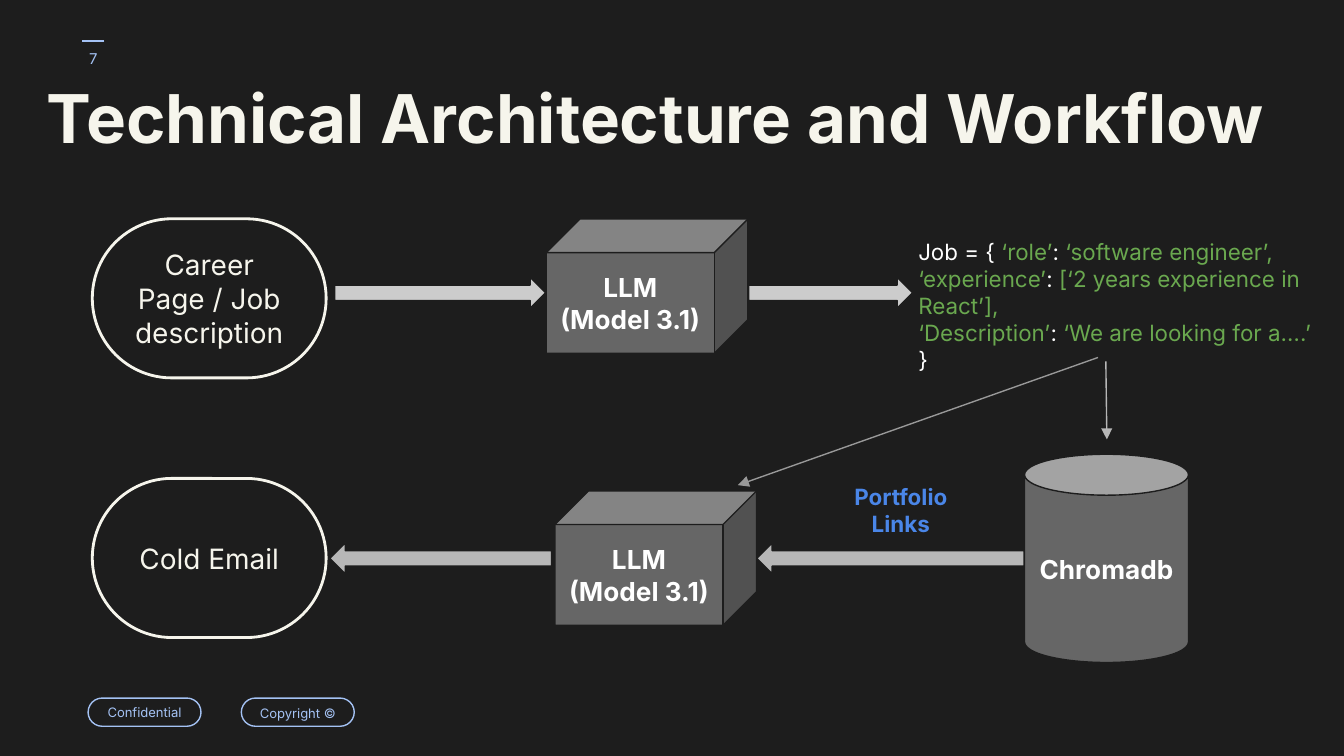
from dataclasses import dataclass

from lxml import etree
from pptx import Presentation
from pptx import util as u
from pptx.dml.color import RGBColor
from pptx.enum import shapes, text
from pptx.oxml.ns import qn

CELL = 0.1  # inches per grid column and row
SLIDE_WIDTH = u.Inches(10)
SLIDE_HEIGHT = SLIDE_WIDTH * 9 // 16
FONT = "Inter"
DARK, CREAM, WHITE = "1D1D1D", "F6F5EC", "FFFFFF"
PALE_BLUE, BLUE, GREEN = "A4C2F4", "4A86E8", "6AA84F"
BODY_GREY, LIGHT_GREY, MID_GREY, LINE_GREY = "666666", "CCCCCC", "B7B7B7", "999999"

Shape = shapes.MSO_SHAPE
Align = text.PP_ALIGN
Anchor = text.MSO_ANCHOR


@dataclass
class Area:
    """A rectangle in grid columns and rows."""
    column: float
    row: float
    columns: float
    rows: float

    def lengths(self) -> list:
        return [grid(n) for n in (self.column, self.row, self.columns, self.rows)]


@dataclass
class Style:
    size: float
    color: str
    bold: bool = False
    spacing: float = 1.0


@dataclass
class Node:
    kind: Shape
    area: Area
    label: str
    style: Style
    fill: str | None = None
    line: str = DARK
    line_width: float = 0.75
    adjustment: float = 0.25


@dataclass
class BlockArrow:
    kind: Shape
    column: float
    row: float
    columns: float
    color: str


@dataclass
class Link:
    start: tuple[float, float]
    end: tuple[float, float]
    color: str
    arrow: bool = True


def grid(cells: float) -> u.Length:
    return u.Inches(cells * CELL)


def color(code: str) -> RGBColor:
    return RGBColor.from_string(code)


def format_span(span, style: Style) -> None:
    span.font.name = FONT
    span.font.size = u.Pt(style.size)
    span.font.bold = style.bold
    span.font.color.rgb = color(style.color)


def prepare_frame(frame, anchor: Anchor) -> None:
    frame.word_wrap = True
    frame.vertical_anchor = anchor
    frame.margin_left = frame.margin_right = u.Inches(0.1)
    frame.margin_top = frame.margin_bottom = u.Inches(0.1)


def write(frame, words: str, style: Style, align: Align, anchor: Anchor) -> None:
    prepare_frame(frame, anchor)
    frame.text = words
    para = frame.paragraphs[0]
    para.alignment = align
    para.line_spacing = style.spacing
    format_span(para.runs[0], style)


def add_label(page, area: Area, words: str, style: Style,
              align: Align = Align.CENTER, anchor: Anchor = Anchor.TOP) -> None:
    box = page.shapes.add_textbox(*area.lengths())
    write(box.text_frame, words, style, align, anchor)


def add_figure(page, kind: Shape, area: Area, fill: str | None, line: str, width: float):
    figure = page.shapes.add_shape(kind, *area.lengths())
    figure.shadow.inherit = False
    if fill:
        figure.fill.solid()
        figure.fill.fore_color.rgb = color(fill)
    else:
        figure.fill.background()
    figure.line.color.rgb = color(line)
    figure.line.width = u.Pt(width)
    return figure


def add_node(page, node: Node) -> None:
    figure = add_figure(page, node.kind, node.area, node.fill, node.line, node.line_width)
    figure.adjustments[0] = node.adjustment
    write(figure.text_frame, node.label, node.style, Align.CENTER, Anchor.MIDDLE)


def add_block_arrow(page, arrow: BlockArrow) -> None:
    area = Area(arrow.column, arrow.row, arrow.columns, 2.3)
    add_figure(page, arrow.kind, area, arrow.color, DARK, 0.75)


def add_link(page, link: Link) -> None:
    ends = [grid(n) for n in link.start + link.end]
    connector = page.shapes.add_connector(shapes.MSO_CONNECTOR.STRAIGHT, *ends)
    connector.line.color.rgb = color(link.color)
    connector.line.width = u.Pt(0.75)
    if link.arrow:
        outline = connector._element.spPr.find(qn("a:ln"))
        etree.SubElement(outline, qn("a:tailEnd"), type="triangle")
    etree.SubElement(connector._element.spPr, qn("a:effectLst"))


def add_code(page, area: Area, lines: list[list[tuple[str, str]]]) -> None:
    """Draw one paragraph per line, each a list of words with their colour."""
    frame = page.shapes.add_textbox(*area.lengths()).text_frame
    prepare_frame(frame, Anchor.TOP)
    for index, line in enumerate(lines):
        para = frame.add_paragraph() if index else frame.paragraphs[0]
        for words, code in line:
            span = para.add_run()
            span.text = words
            format_span(span, Style(12, code))


def pill(column: float, label: str, spacing: float = 1.0) -> Node:
    return Node(Shape.ROUNDED_RECTANGLE, Area(column, 51.94, 8.4, 2.1), label,
                Style(7, PALE_BLUE, spacing=spacing), line=PALE_BLUE, adjustment=0.5)


def terminal(row: float, label: str) -> Node:
    return Node(Shape.ROUNDED_RECTANGLE, Area(6.87, row, 17.4, 11.84), label,
                Style(15, CREAM), line=CREAM, line_width=1.5, adjustment=0.5)


def solid(kind: Shape, area: Area, label: str) -> Node:
    return Node(kind, area, label, Style(14, WHITE, bold=True), fill=BODY_GREY)


def model(column: float, row: float) -> Node:
    return solid(Shape.CUBE, Area(column, row, 15, 10), "LLM (Model 3.1)")


NODES = [
    pill(6.56, "Confidential"),
    pill(17.96, "Copyright ©", spacing=1.15),
    terminal(16.28, "Career Page / Job description"),
    terminal(35.6, "Cold Email"),
    model(40.65, 16.3),
    model(41.3, 36.53),
    solid(Shape.CAN, Area(76.23, 33.8, 12.2, 15.5), "Chromadb"),
]
BLOCK_ARROWS = [
    BlockArrow(Shape.RIGHT_ARROW, 24.9, 20.64, 15.7, LIGHT_GREY),
    BlockArrow(Shape.RIGHT_ARROW, 55.7, 20.64, 12.2, LIGHT_GREY),
    BlockArrow(Shape.LEFT_ARROW, 56.3, 40.4, 19.9, MID_GREY),
    BlockArrow(Shape.LEFT_ARROW, 24.54, 40.4, 16.5, MID_GREY),
]
LINKS = [
    Link((7.76, 3.06), (6.1, 3.06), PALE_BLUE, arrow=False),
    Link((82.28, 26.9), (82.36, 32.7), MID_GREY),
    Link((81.7, 26.6), (54.9, 36.1), LINE_GREY),
]
JOB_CODE = [
    [("Job = { ", WHITE), ("‘role’", GREEN), (": ", WHITE),
     ("‘software engineer’, ‘experience’", GREEN), (": ", WHITE),
     ("[‘2 years experience in React’],", GREEN)],
    [("‘Description’", GREEN), (":", WHITE), (" ‘We are looking for a….’", GREEN)],
    [("}", WHITE)],
]


def main() -> None:
    deck = Presentation()
    deck.slide_width, deck.slide_height = SLIDE_WIDTH, SLIDE_HEIGHT
    page = deck.slides.add_slide(deck.slide_layouts[6])
    page.background.fill.solid()
    page.background.fill.fore_color.rgb = color(DARK)

    add_label(page, Area(4.6, 2.2, 4.7, 4.3), "7", Style(8, PALE_BLUE), anchor=Anchor.MIDDLE)
    add_label(page, Area(2.5, 5.84, 99.4, 9.1), "Technical Architecture and Workflow",
              Style(36, CREAM, bold=True, spacing=0.8), align=Align.LEFT)
    for node in NODES:
        add_node(page, node)
    for arrow in BLOCK_ARROWS:
        add_block_arrow(page, arrow)
    for link in LINKS:
        add_link(page, link)
    add_code(page, Area(67.34, 16.74, 32.2, 9.1), JOB_CODE)
    add_label(page, Area(61.53, 34.94, 11, 5.4), "Portfolio Links", Style(12, BLUE, bold=True))
    deck.save("out.pptx")


if __name__ == "__main__":
    main()
